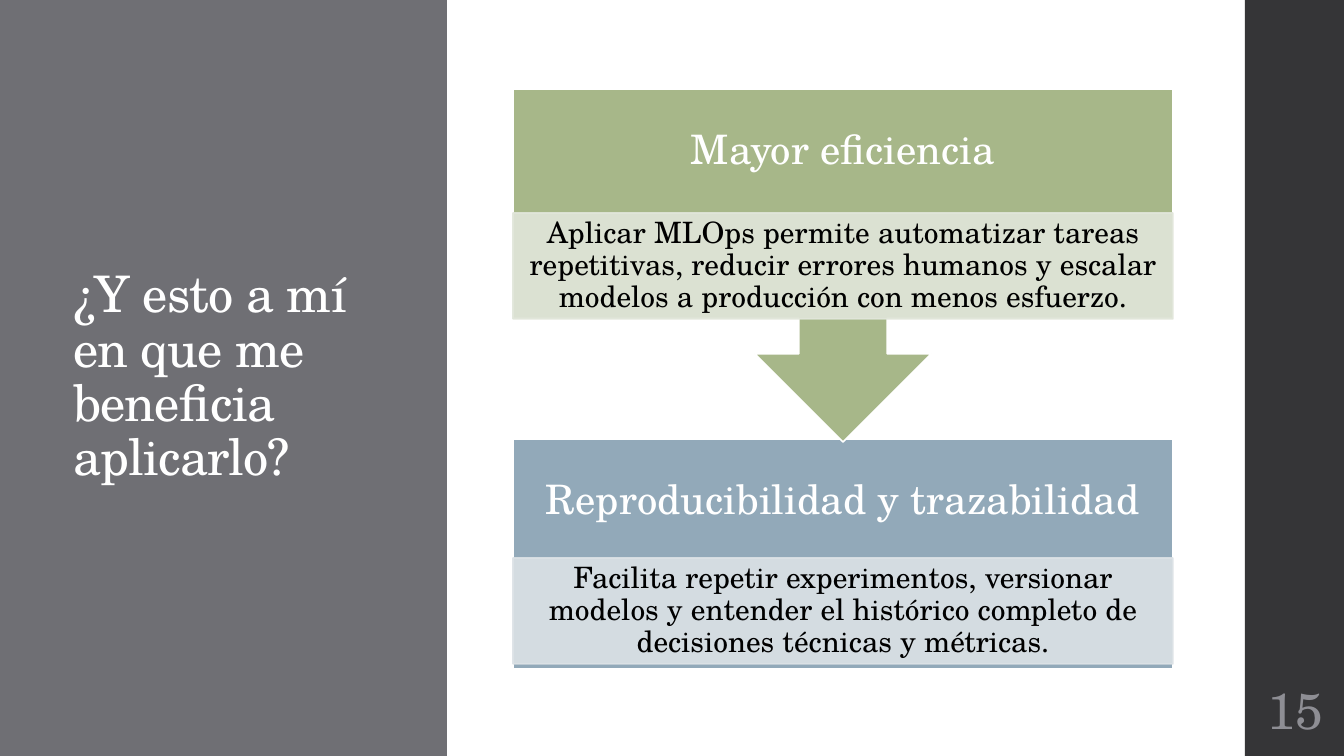
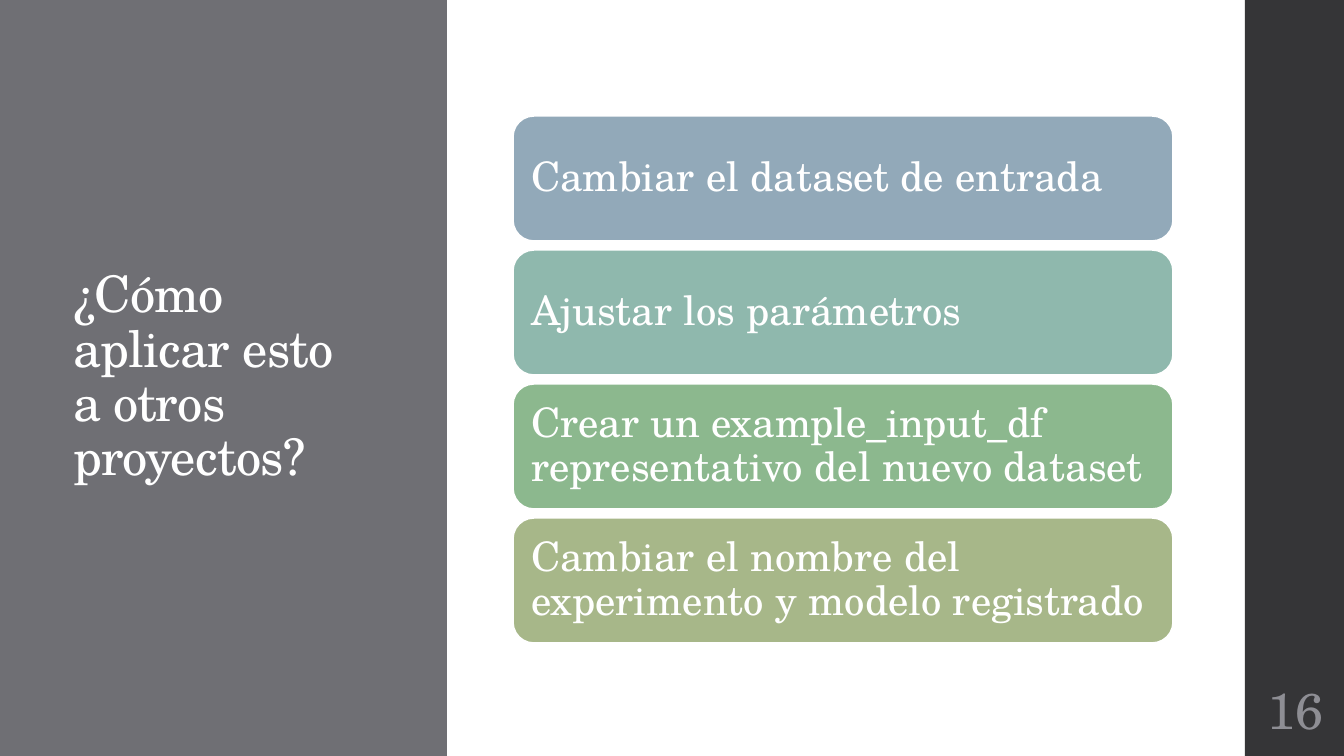
from lxml import etree
from pptx import Presentation, util as u
from pptx.dml.color import RGBColor
from pptx.enum import shapes, text
from pptx.oxml.ns import qn

PX = 914400 / 100.8  # EMU in one px
FONT = "TeX Gyre Schola"
WHITE = RGBColor(0xFF, 0xFF, 0xFF)
BLACK = RGBColor(0, 0, 0)
PANEL_GRAY = RGBColor(0x6F, 0x6F, 0x74)
BAND_DARK = RGBColor(0x35, 0x35, 0x37)
NUMBER_GRAY = RGBColor(0x8E, 0x8E, 0x94)
BLUE = RGBColor(0x92, 0xA9, 0xB9)
TEAL = RGBColor(0x8F, 0xB8, 0xAD)
GREEN = RGBColor(0x8C, 0xB8, 0x8E)
OLIVE = RGBColor(0xA7, 0xB7, 0x89)
PALE_BLUE = RGBColor(0xDC, 0xE2, 0xE6)
PALE_OLIVE = RGBColor(0xE1, 0xE6, 0xDA)

WIDTH, HEIGHT = 1344, 756
BAND_LEFT = 1245
CONTENT_LEFT, CONTENT_WIDTH = 513, 660
RECT = shapes.MSO_SHAPE.RECTANGLE
CENTER, LEFT = text.PP_ALIGN.CENTER, text.PP_ALIGN.LEFT


def add_box(slide, kind, box, fill, line=None):
    shape = slide.shapes.add_shape(kind, *(round(v * PX) for v in box))
    shape.shadow.inherit = False
    shape.fill.solid()
    shape.fill.fore_color.rgb = fill
    if line is None:
        shape.line.fill.background()
    else:
        shape.line.color.rgb = line
        shape.line.width = u.Pt(1.1)
    return shape


def write(shape, words, size, color, align, inset_x, inset_y):
    frame = shape.text_frame
    frame.text = words
    frame.word_wrap = True
    frame.auto_size = text.MSO_AUTO_SIZE.NONE
    frame.vertical_anchor = text.MSO_ANCHOR.MIDDLE
    frame.margin_left = frame.margin_right = round(inset_x * PX)
    frame.margin_top = frame.margin_bottom = round(inset_y * PX)
    paragraph = frame.paragraphs[0]
    paragraph.alignment = align
    paragraph.line_spacing = 0.9
    font = paragraph.runs[0].font
    font.name, font.size, font.color.rgb = FONT, u.Pt(size), color


deck = Presentation()
deck.slide_width, deck.slide_height = round(WIDTH * PX), round(HEIGHT * PX)

# Shared frame: title panel, dark band and slide number
slides = []
for number, heading in [
    (15, "¿Y esto a mí en que me beneficia aplicarlo?"),
    (16, "¿Cómo aplicar esto a otros proyectos?"),
]:
    slide = deck.slides.add_slide(deck.slide_layouts[5])
    slides.append(slide)
    title = slide.shapes.title
    title.left, title.top, title.width, title.height = (
        round(v * PX) for v in (63, 92, 299, 572))
    write(title, heading, 36, WHITE, LEFT, 10, 5)
    title.text_frame.paragraphs[0].runs[0].font._element.set("spc", "-50")

    panel = add_box(slide, RECT, (0, 0, 447, HEIGHT), PANEL_GRAY)
    title._element.addprevious(panel._element)  # panel goes behind the title
    add_box(slide, RECT, (BAND_LEFT, 0, WIDTH - BAND_LEFT, HEIGHT), BAND_DARK)
    page = slide.shapes.add_textbox(
        *(round(v * PX) for v in (BAND_LEFT, 680, 101, 66)))
    write(page, str(number), 36, NUMBER_GRAY, CENTER, 5, 5)

benefits, steps = slides

# Benefits: a blue block below and a callout pointing down to it
for kind, top, height, color, pale, name, detail_top, detail in [
    (RECT, 439, 230, BLUE, PALE_BLUE, "Reproducibilidad y trazabilidad", 558,
     "Facilita repetir experimentos, versionar modelos y entender el histórico "
     "completo de decisiones técnicas y métricas."),
    (shapes.MSO_SHAPE.DOWN_ARROW_CALLOUT, 89, 353, OLIVE, PALE_OLIVE,
     "Mayor eficiencia", 213,
     "Aplicar MLOps permite automatizar tareas repetitivas, reducir errores "
     "humanos y escalar modelos a producción con menos esfuerzo."),
]:
    add_box(benefits, kind, (CONTENT_LEFT, top, CONTENT_WIDTH, height), color, WHITE)
    header = benefits.shapes.add_textbox(
        *(round(v * PX) for v in (CONTENT_LEFT, top, CONTENT_WIDTH, 124)))
    write(header, name, 29, WHITE, CENTER, 23, 23)
    strip = add_box(benefits, RECT, (CONTENT_LEFT, detail_top, CONTENT_WIDTH, 106),
                    pale, pale)
    for color_node in strip._element.spPr.iter(qn("a:srgbClr")):
        etree.SubElement(color_node, qn("a:alpha")).set("val", "90000")
    write(strip, detail, 21, BLACK, CENTER, 16, 3)

# Steps: four equal rounded bars
STEP_TOP, STEP_HEIGHT, STEP_GAP = 116, 125, 9
for i, (step, color) in enumerate([
    ("Cambiar el dataset de entrada", BLUE),
    ("Ajustar los parámetros", TEAL),
    ("Crear un example_input_df representativo del nuevo dataset", GREEN),
    ("Cambiar el nombre del experimento y modelo registrado", OLIVE),
]):
    top = STEP_TOP + i * (STEP_HEIGHT + STEP_GAP)
    bar = add_box(steps, shapes.MSO_SHAPE.ROUNDED_RECTANGLE,
                  (CONTENT_LEFT, top, CONTENT_WIDTH, STEP_HEIGHT), color, WHITE)
    write(bar, step, 29, WHITE, LEFT, 12, 12)

deck.save("out.pptx")
